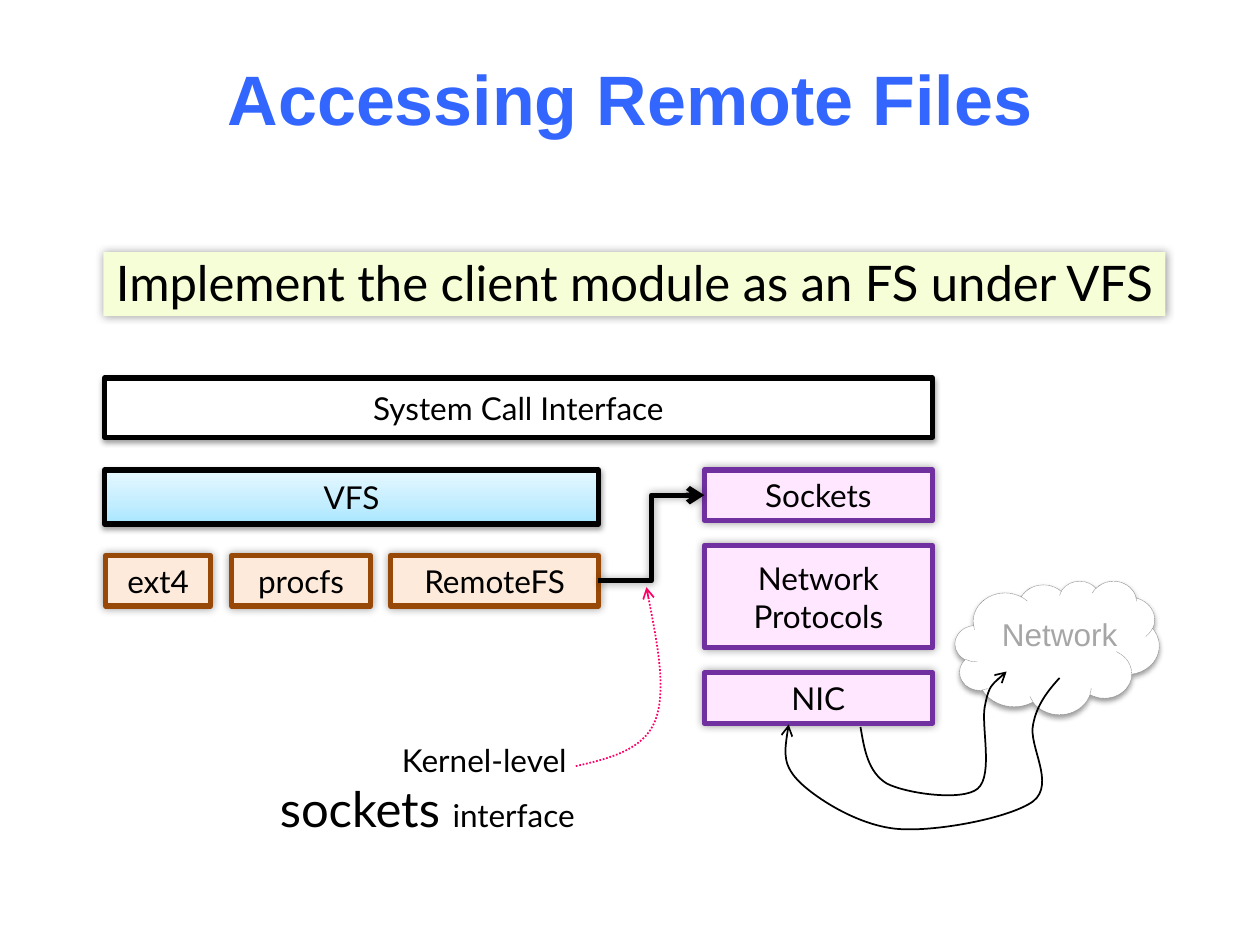
from lxml.etree import SubElement
from copy import deepcopy
from pptx import Presentation
from pptx.dml.color import RGBColor
from pptx.enum.dml import MSO_LINE
from pptx.enum.shapes import MSO_CONNECTOR, MSO_SHAPE
from pptx.enum.text import MSO_ANCHOR, PP_ALIGN
from pptx.oxml.ns import qn
from pptx.util import Emu, Pt

PX = 9144  # 100 px to the inch

BLACK = RGBColor(0x00, 0x00, 0x00)
WHITE = RGBColor(0xFF, 0xFF, 0xFF)
BLUE = RGBColor(0x33, 0x66, 0xFF)
LIME = RGBColor(0xF5, 0xFE, 0xD6)
PEACH = RGBColor(0xFD, 0xEA, 0xDA)
BROWN = RGBColor(0x98, 0x48, 0x07)
PINK = RGBColor(0xFF, 0xE7, 0xFF)
PURPLE = RGBColor(0x70, 0x30, 0xA0)
MAGENTA = RGBColor(0xFF, 0x00, 0x66)
GRAY = RGBColor(0x80, 0x80, 0x80)
SILVER = RGBColor(0xA6, 0xA6, 0xA6)
SKY_STOPS = [(0, RGBColor(0xA7, 0xE6, 0xFF)),
             (0.35, RGBColor(0xC1, 0xED, 0xFF)),
             (1, RGBColor(0xE7, 0xF8, 0xFF))]

GLOW = (40, 5, 0, 0)  # opacity %, blur pt, distance pt, angle
DROP = (38, 3.1, 1.6, 90)


def px(*values):
    return [Emu(v * PX) for v in values]


def add_shadow(sp, opacity, blur, dist, angle):
    effects = SubElement(sp._element.spPr, qn("a:effectLst"))
    shadow = SubElement(effects, qn("a:outerShdw"), blurRad=str(Pt(blur)),
                        dist=str(Pt(dist)), dir=str(angle * 60000), rotWithShape="0")
    color = SubElement(shadow, qn("a:srgbClr"), val=str(BLACK))
    SubElement(color, qn("a:alpha"), val=str(opacity * 1000))


def add_arrowhead(sp):
    ln = sp._element.xpath(".//a:ln")[0]
    SubElement(ln, qn("a:tailEnd"), type="arrow")


def add_run(p, text, size, font="Lato", color=BLACK, bold=False):
    r = p.add_run()
    r.text = text
    r.font.size, r.font.name, r.font.bold = Pt(size), font, bold
    r.font.color.rgb = color


def fill_gradient(sp, stops, angle):
    sp.fill.gradient()
    gs_list = sp._element.xpath(".//a:gsLst")[0]
    while len(gs_list) < len(stops):
        gs_list.append(deepcopy(gs_list[0]))
    for stop, (position, color) in zip(sp.fill.gradient_stops, stops):
        stop.position = position
        stop.color.rgb = color
    sp.fill.gradient_angle = angle


def add_box(shapes, box, text, fill, line, shadow=GLOW, size=18, insets=(4, 0, 4, 0)):
    sp = shapes.add_shape(MSO_SHAPE.RECTANGLE, *px(*box))
    if isinstance(fill, list):
        fill_gradient(sp, fill, 90)
    else:
        sp.fill.solid()
        sp.fill.fore_color.rgb = fill
    if line is None:
        sp.line.fill.background()
    else:
        sp.line.color.rgb, sp.line.width = line, Pt(3)
    add_shadow(sp, *shadow)
    tf = sp.text_frame
    tf.word_wrap = True
    tf.vertical_anchor = MSO_ANCHOR.MIDDLE
    tf.margin_left, tf.margin_top, tf.margin_right, tf.margin_bottom = px(*insets)
    p = tf.paragraphs[0]
    p.alignment = PP_ALIGN.CENTER
    add_run(p, text, size)
    return sp


def add_curve(shapes, origin, points, color=BLACK, dash=None):
    """Draw an arrow along cubic Béziers: a start, then three points a segment."""
    builder = shapes.build_freeform(*points[0], scale=PX)
    builder.add_line_segments(points[1:], close=False)
    sp = builder.convert_to_shape(*px(*origin))
    lines = sp._element.xpath(".//a:lnTo")
    outline = lines[0].getparent()
    for i in range(0, len(lines), 3):
        bezier = SubElement(outline, qn("a:cubicBezTo"))
        for line in lines[i:i + 3]:
            bezier.append(line[0])
            outline.remove(line)
    sp.fill.background()
    sp.line.color.rgb, sp.line.width = color, Pt(1)
    if dash:
        sp.line.dash_style = dash
    sp.shadow.inherit = False
    add_arrowhead(sp)


def add_title(slide, box):
    title = slide.shapes.title
    title.left, title.top, title.width, title.height = px(*box)
    tf = title.text_frame
    tf.vertical_anchor = MSO_ANCHOR.MIDDLE
    p = tf.paragraphs[0]
    p.alignment = PP_ALIGN.CENTER
    add_run(p, "Accessing Remote Files", 40, "Arial", BLUE, True)


def add_banner(shapes, box):
    sp = add_box(shapes, box, "Implement the client module as an FS under VFS",
                 LIME, None, size=28, insets=(8, 0, 8, 4))
    sp.text_frame.vertical_anchor = MSO_ANCHOR.TOP


def add_file_systems(shapes, box):
    """Place the VFS bar over its modules; return the RemoteFS box."""
    x, y, w, h = box
    add_box(shapes, (x, y, w, 43), "VFS", SKY_STOPS, BLACK, DROP)
    modules = [("ext4", 1, 83), ("procfs", 101, 110), ("RemoteFS", 227, 165)]
    for name, dx, width in modules:
        sp = add_box(shapes, (x + dx, y + h - 40, width, 40), name, PEACH, BROWN)
    return sp


def add_network_stack(shapes, box):
    """Stack the network layers with equal gaps; return the Sockets box."""
    x, y, w, h = box
    layers = [("Sockets", 40), ("Network Protocols", 81), ("NIC", 40)]
    gap = (h - sum(height for _, height in layers)) // (len(layers) - 1)
    boxes = []
    for name, height in layers:
        boxes.append(add_box(shapes, (x, y, w, height), name, PINK, PURPLE))
        y += height + gap
    return boxes[0]


def add_socket_link(shapes, remote_fs, sockets):
    link = shapes.add_connector(MSO_CONNECTOR.ELBOW, 0, 0, 0, 0)
    link.begin_connect(remote_fs, 3)
    link.end_connect(sockets, 1)
    link.line.color.rgb, link.line.width = BLACK, Pt(3)
    add_shadow(link, *GLOW)
    add_arrowhead(link)


def add_cloud(shapes, box):
    x, y, w, h = box
    group = shapes.add_group_shape()
    cloud = group.shapes.add_shape(MSO_SHAPE.CLOUD, *px(x + 9, y, w - 22, h))
    cloud.fill.solid()
    cloud.fill.fore_color.rgb = WHITE
    cloud.line.color.rgb, cloud.line.width = GRAY, Pt(0.25)
    cloud.line.dash_style = MSO_LINE.ROUND_DOT
    add_shadow(cloud, *DROP)
    tf = group.shapes.add_textbox(*px(x, y + 22, w, 40)).text_frame
    tf.word_wrap = True
    p = tf.paragraphs[0]
    p.alignment = PP_ALIGN.CENTER
    add_run(p, "Network", 18, "Arial", SILVER)


def add_traffic(shapes, origin):
    """Draw the curves between the NIC and the cloud."""
    add_curve(shapes, origin, [
        (59, 44), (62, 62), (65, 80), (80, 89), (96, 97), (140, 103), (152, 93),
        (165, 82), (154, 41), (158, 26), (161, 11), (168, 6), (175, 0)])
    add_curve(shapes, origin, [
        (217, 5), (208, 15), (199, 26), (196, 42), (192, 59), (214, 89), (196, 103),
        (178, 116), (121, 127), (90, 125), (59, 123), (26, 102), (12, 89),
        (-3, 75), (-1, 59), (2, 42)])


def add_kernel_label(shapes, box):
    x, y, w, h = box
    tf = shapes.add_textbox(*px(*box)).text_frame
    tf.word_wrap = True
    p = tf.paragraphs[0]
    p.alignment = PP_ALIGN.RIGHT
    add_run(p, "Kernel-level ", 18)
    p.add_line_break()
    add_run(p, "sockets ", 28)
    add_run(p, "interface", 18)
    add_curve(shapes, (x + w, y), [
        (-9, 25), (18, 19), (45, 12), (54, -11), (63, -35), (55, -76), (47, -117)],
        MAGENTA, MSO_LINE.ROUND_DOT)


def main():
    prs = Presentation()
    prs.slide_width, prs.slide_height = px(1000, 750)
    slide = prs.slides.add_slide(prs.slide_layouts[5])
    shapes = slide.shapes
    add_cloud(shapes, (749, 461, 184, 106))
    add_title(slide, (0, 0, 1000, 155))
    add_banner(shapes, (82, 200, 843, 51))
    add_box(shapes, (83, 300, 657, 47), "System Call Interface", WHITE, BLACK, DROP)
    remote_fs = add_file_systems(shapes, (83, 373, 392, 108))
    sockets = add_network_stack(shapes, (559, 373, 181, 202))
    add_socket_link(shapes, remote_fs, sockets)
    add_traffic(shapes, (624, 533))
    add_kernel_label(shapes, (126, 583, 340, 98))
    prs.save("out.pptx")


if __name__ == "__main__":
    main()
